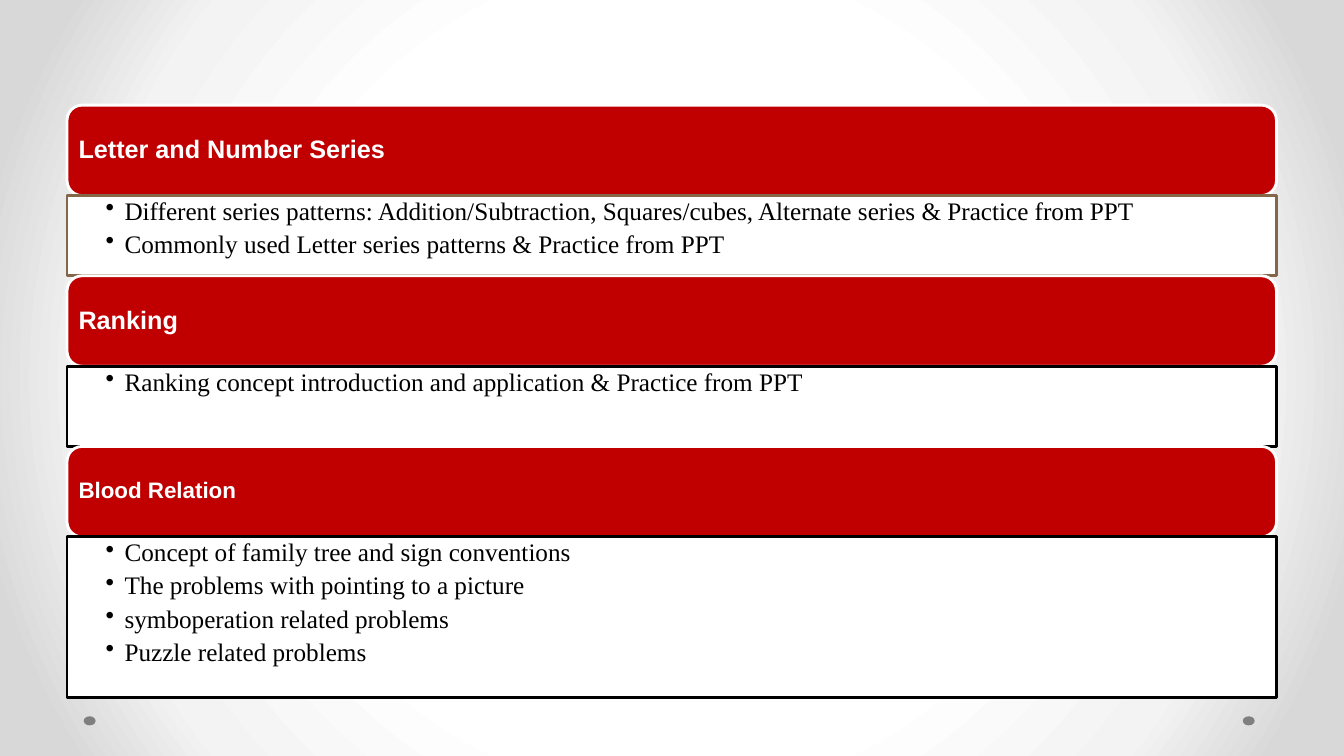
from dataclasses import dataclass

from lxml import etree
from pptx import Presentation
from pptx import util as u
from pptx.dml.color import RGBColor
from pptx.enum import shapes, text
from pptx.oxml import parse_xml
from pptx.oxml.ns import nsdecls, qn
from pptx.shapes.autoshape import Shape
from pptx.slide import Slide


@dataclass(frozen=True)
class Theme:
    red: str = "C00000"
    white: str = "FFFFFF"
    black: str = "000000"
    brown: str = "846648"
    grey: str = "7F7F7F"
    backdrop: tuple = ((0, "FFFFFF"), (50, "FFFFFF"), (76, "F3F3F3"), (92, "D8D8D8"), (100, "D8D8D8"))
    heading_font: str = "Arial"
    body_font: str = "Times New Roman"
    body_size: int = 18
    outline: int = 2


THEME = Theme()


@dataclass(frozen=True)
class Topic:
    title: str
    points: tuple[str, ...]
    panel_height: float
    panel_line: str = THEME.black
    title_size: int = 18


TOPICS = (
    Topic("Letter and Number Series",
          ("Different series patterns: Addition/Subtraction, Squares/cubes, Alternate series & Practice from PPT",
           "Commonly used Letter series patterns & Practice from PPT"),
          2.02, panel_line=THEME.brown),
    Topic("Ranking",
          ("Ranking concept introduction and application & Practice from PPT",), 2.02),
    Topic("Blood Relation",
          ("Concept of family tree and sign conventions",
           "The problems with pointing to a picture",
           "symboperation related problems",
           "Puzzle related problems"),
          4.04, title_size=16),
)

LEFT, TOP, WIDTH = 1.69, 2.65, 30.48
HEADER_HEIGHT = 2.28
BULLET_INDENT = u.Cm(0.48)


def paint_background(page: Slide) -> None:
    """Fill the page with a radial gradient, white in the middle."""
    stops = "".join(f'<a:gs pos="{at * 1000}"><a:srgbClr val="{color}"/></a:gs>'
                    for at, color in THEME.backdrop)
    page.element.cSld.insert(0, parse_xml(
        f'<p:bg {nsdecls("p", "a")}><p:bgPr><a:gradFill rotWithShape="1"><a:gsLst>{stops}</a:gsLst>'
        '<a:path path="circle"><a:fillToRect l="50000" t="50000" r="50000" b="50000"/></a:path>'
        '</a:gradFill><a:effectLst/></p:bgPr></p:bg>'))


def add_box(page: Slide, kind: shapes.MSO_SHAPE, left: float, top: float,
            width: float, height: float, fill: str, line: str | None = None) -> Shape:
    box = page.shapes.add_shape(kind, u.Cm(left), u.Cm(top), u.Cm(width), u.Cm(height))
    box.shadow.inherit = False
    box.fill.solid()
    box.fill.fore_color.rgb = RGBColor.from_string(fill)
    if line:
        box.line.color.rgb = RGBColor.from_string(line)
        box.line.width = u.Pt(THEME.outline)
    else:
        box.line.fill.background()
    return box


def write_text(box: Shape, lines: tuple[str, ...], anchor: text.MSO_ANCHOR,
               insets: tuple[float, float, float, float], font: str, size: int,
               color: str, bold: bool = False, bulleted: bool = False) -> None:
    """Set the lines as paragraphs; insets are left, top, right, bottom in cm."""
    frame = box.text_frame
    frame.text = "\n".join(lines)
    frame.word_wrap = True
    frame.vertical_anchor = anchor
    frame.margin_left, frame.margin_top, frame.margin_right, frame.margin_bottom = map(u.Cm, insets)
    for para in frame.paragraphs:
        para.alignment = text.PP_ALIGN.LEFT
        para.line_spacing = 0.9
        if bulleted:
            para.level = 1
            para.space_after = u.Pt(4.2)
            add_bullet(para)
        para.font.name = font
        para.font.size = u.Pt(size)
        para.font.bold = bold
        para.font.color.rgb = RGBColor.from_string(color)
        for span in para.runs:
            span.font.name = font
            span.font.size = u.Pt(size)
            span.font.bold = bold
            span.font.color.rgb = RGBColor.from_string(color)


def add_bullet(para: text.PP_ALIGN) -> None:
    properties = para._p.get_or_add_pPr()
    properties.set("marL", str(BULLET_INDENT))
    properties.set("indent", str(-BULLET_INDENT))
    etree.SubElement(properties, qn("a:buChar")).set("char", "•")


def add_topic(page: Slide, topic: Topic, top: float) -> float:
    """Draw the header and its panel; return the bottom edge."""
    header = add_box(page, shapes.MSO_SHAPE.ROUNDED_RECTANGLE, LEFT, top, WIDTH, HEADER_HEIGHT,
                     THEME.red, THEME.white)
    write_text(header, (topic.title,), text.MSO_ANCHOR.MIDDLE, (0.18, 0.18, 0.18, 0.18),
               THEME.heading_font, topic.title_size, THEME.white, bold=True)
    top += HEADER_HEIGHT
    panel = add_box(page, shapes.MSO_SHAPE.RECTANGLE, LEFT, top, WIDTH, topic.panel_height,
                    THEME.white, topic.panel_line)
    write_text(panel, topic.points, text.MSO_ANCHOR.TOP, (0.97, 0.08, 0.36, 0.08),
               THEME.body_font, THEME.body_size, THEME.black, bulleted=True)
    return top + topic.panel_height


def main() -> None:
    deck = Presentation()
    deck.slide_width, deck.slide_height = u.Cm(33.87), u.Cm(19.05)
    page = deck.slides.add_slide(deck.slide_layouts[6])
    paint_background(page)
    for dot_left in (31.32, 2.11):
        add_box(page, shapes.MSO_SHAPE.OVAL, dot_left, 18.05, 0.3, 0.23, THEME.grey)
    top = TOP
    for topic in TOPICS:
        top = add_topic(page, topic, top)
    deck.save("out.pptx")


if __name__ == "__main__":
    main()
